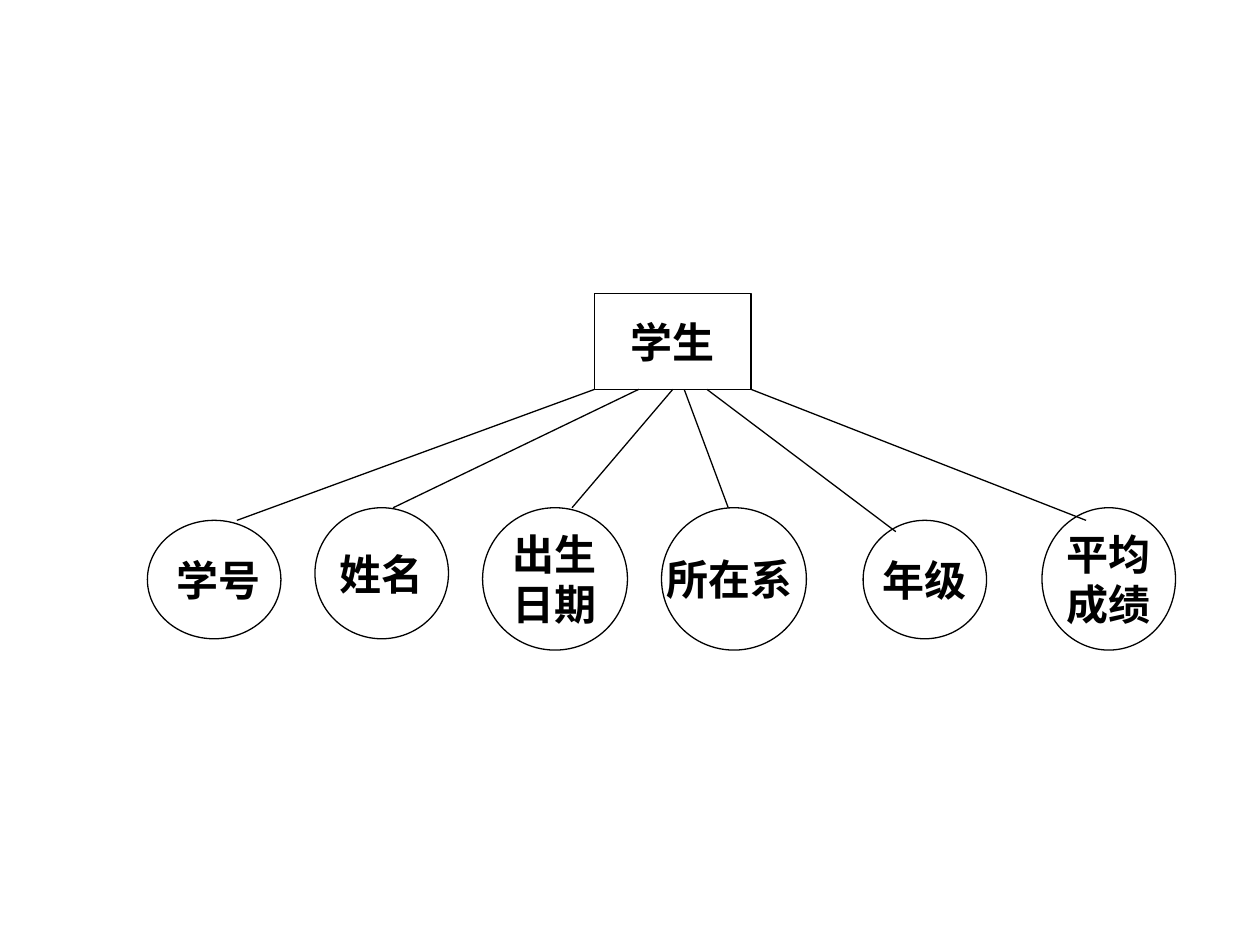
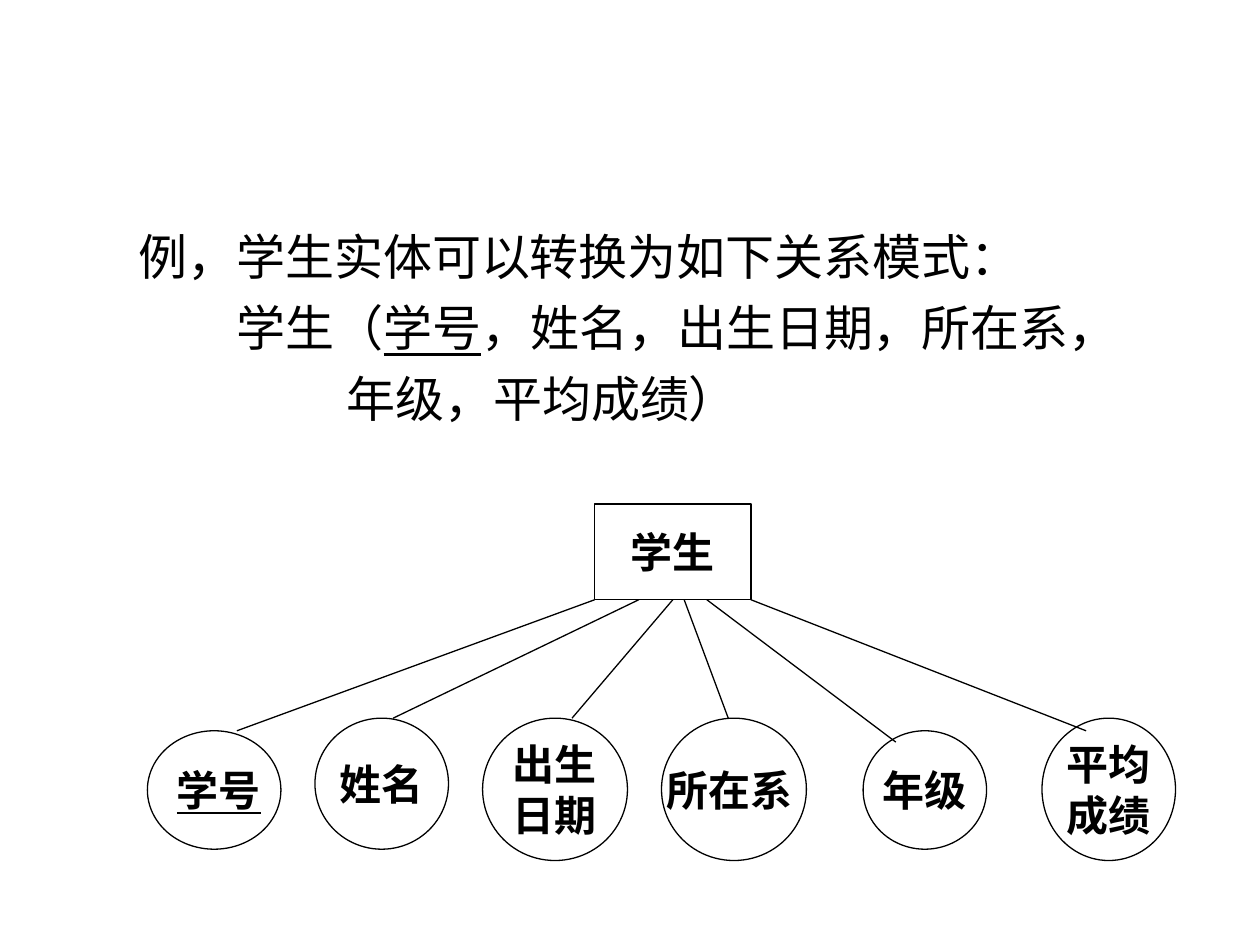
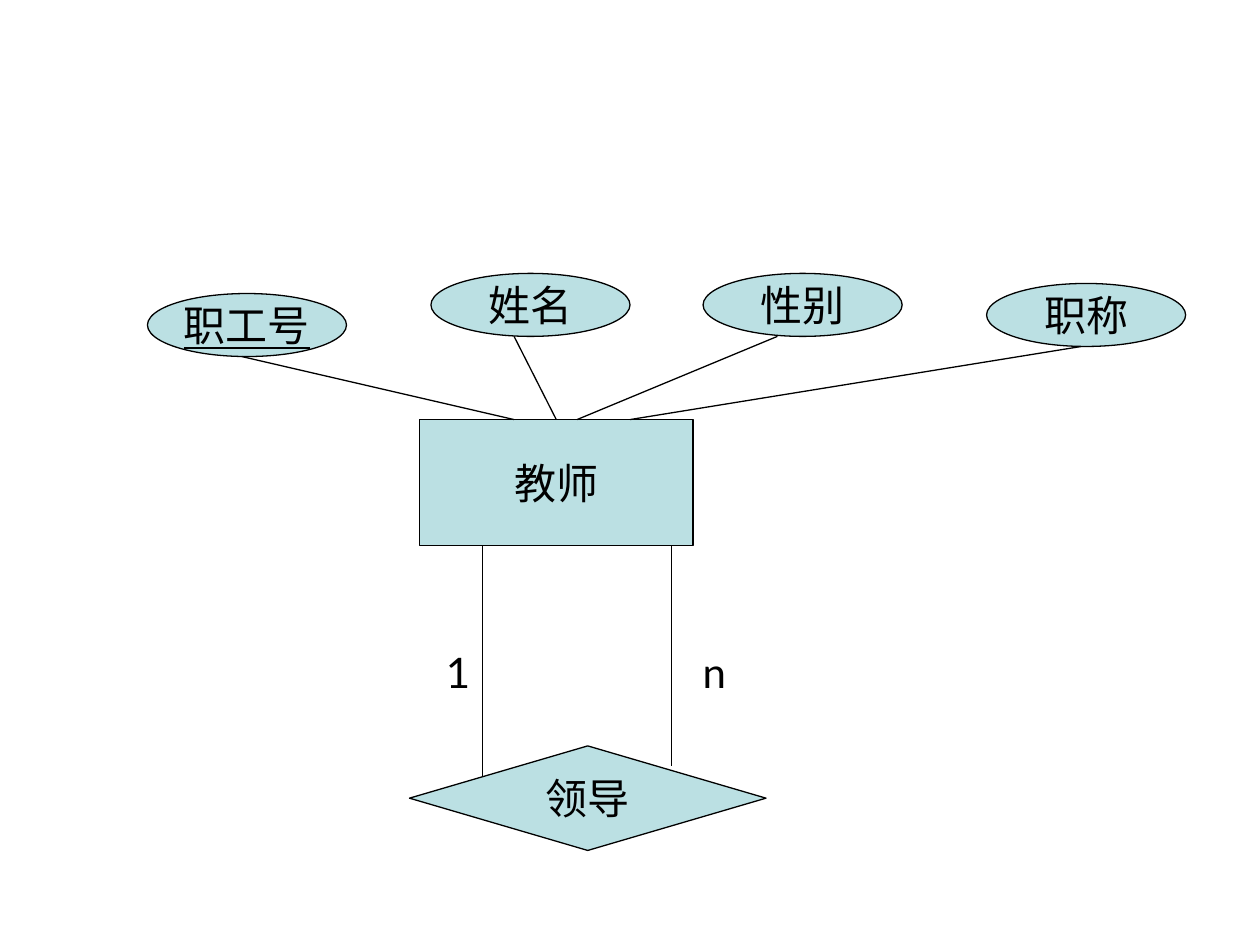
from dataclasses import dataclass
from typing import Any, NamedTuple, Optional

from lxml import etree
from pptx import Presentation
from pptx import util as u
from pptx.dml.color import RGBColor
from pptx.enum import shapes as kinds, text as txt
from pptx.oxml import ns


@dataclass(frozen=True)
class Theme:
    ink: RGBColor = RGBColor(0x00, 0x00, 0x00)
    teal: RGBColor = RGBColor(0xBB, 0xE0, 0xE3)
    line_width: u.Length = u.Pt(0.75)
    label_size: u.Length = u.Pt(24)
    body_size: u.Length = u.Pt(28)
    body_gap: u.Length = u.Pt(7)
    body_font: str = "Arial"


THEME = Theme()


@dataclass(frozen=True)
class Style:
    font: str
    bold: bool
    fill: Optional[RGBColor]


OUTLINED = Style("Times New Roman", True, None)
TINTED = Style("Lato", False, THEME.teal)


class Box(NamedTuple):
    left: float
    top: float
    width: float
    height: float


class Point(NamedTuple):
    x: float
    y: float


class Attribute(NamedTuple):
    """An ellipse and the line from its tip to the entity's edge at root_x."""
    label: str
    box: Box
    tip: Point
    root_x: float
    key: str = ""


class SchemaLine(NamedTuple):
    wording: str
    indent: float
    key: str = ""


STUDENT = Box(4.72, 2.33, 1.24, 0.76)
STUDENT_ATTRIBUTES = [
    Attribute(" 学号", Box(1.17, 4.13, 1.06, 0.94), Point(1.88, 4.13), 4.72, "学号"),
    Attribute("姓名", Box(2.5, 4.03, 1.06, 1.04), Point(3.12, 4.03), 5.07),
    Attribute("出生\n日期", Box(3.83, 4.03, 1.15, 1.13), Point(4.54, 4.03), 5.34),
    Attribute("所在系 ", Box(5.25, 4.03, 1.15, 1.13), Point(5.78, 4.03), 5.43),
    Attribute("年级", Box(6.85, 4.13, 0.98, 0.94), Point(7.11, 4.22), 5.61),
    Attribute("平均\n成绩", Box(8.27, 4.03, 1.06, 1.13), Point(8.62, 4.13), 5.96),
]
SCHEMA_DROP = 1.67

TEACHER = Box(3.33, 3.33, 2.17, 1)
TEACHER_ATTRIBUTES = [
    Attribute("职工号", Box(1.17, 2.33, 1.58, 0.5), Point(1.92, 2.83), 4.08, "职工号"),
    Attribute("姓名", Box(3.42, 2.17, 1.58, 0.5), Point(4.08, 2.67), 4.42),
    Attribute("性别", Box(5.58, 2.17, 1.58, 0.5), Point(6.17, 2.67), 4.58),
    Attribute("职称", Box(7.83, 2.25, 1.58, 0.5), Point(8.58, 2.75), 5),
]
LEADERSHIP = Box(3.25, 5.92, 2.83, 0.83)

SCHEMA = [
    SchemaLine("例，学生实体可以转换为如下关系模式：", 0.5),
    SchemaLine("学生（学号，姓名，出生日期，所在系，", 1.28, "学号"),
    SchemaLine("年级，平均成绩）", 2.15),
]


def apply_format(target: Any, values: dict[str, Any]) -> None:
    for name, value in values.items():
        setattr(target, name, value)


def inches(values: tuple[float, ...]) -> list[u.Length]:
    return [u.Inches(value) for value in values]


def write_runs(paragraph: Any, wording: str, key: str, font: dict[str, Any]) -> None:
    """Write the wording with its key attribute underlined."""
    before, key, after = wording.partition(key) if key else (wording, "", "")
    for part, underlined in ((before, None), (key, True), (after, None)):
        if part:
            run = paragraph.add_run()
            run.text = part
            apply_format(run.font, font | {"underline": underlined})
            run.font.color.rgb = THEME.ink


def write_label(frame: Any, label: str, style: Style, align: Any, key: str = "") -> None:
    font = {"name": style.font, "size": THEME.label_size, "bold": style.bold}
    for index, wording in enumerate(label.split("\n")):
        paragraph = frame.add_paragraph() if index else frame.paragraphs[0]
        paragraph.alignment = align
        write_runs(paragraph, wording, key, font)


def add_node(canvas: Any, kind: Any, box: Box, label: str, style: Style, key: str = "") -> Any:
    node = canvas.add_shape(kind, *inches(box))
    node.shadow.inherit = False
    if style.fill is None:
        node.fill.background()
    else:
        node.fill.solid()
        node.fill.fore_color.rgb = style.fill
    node.line.color.rgb = THEME.ink
    node.line.width = THEME.line_width
    apply_format(node.text_frame, {"word_wrap": False,
                                   "vertical_anchor": txt.MSO_ANCHOR.MIDDLE})
    write_label(node.text_frame, label, style, txt.PP_ALIGN.CENTER, key)
    return node


def add_link(canvas: Any, start: Point, end: Point) -> Any:
    link = canvas.add_connector(kinds.MSO_CONNECTOR.STRAIGHT, *inches(start + end))
    link.line.color.rgb = THEME.ink
    link.line.width = THEME.line_width
    etree.SubElement(link._element.spPr, ns.qn("a:effectLst"))
    return link


def add_entity(canvas: Any, name: str, box: Box, attributes: list[Attribute],
               style: Style, drop: float = 0) -> None:
    """Draw an entity with its attributes, moved down by drop."""
    entity = add_node(canvas, kinds.MSO_SHAPE.RECTANGLE,
                      box._replace(top=box.top + drop), name, style)
    for attribute in attributes:
        oval = attribute.box
        add_node(canvas, kinds.MSO_SHAPE.OVAL, oval._replace(top=oval.top + drop),
                 attribute.label, style, attribute.key)
        below = oval.top > box.top
        edge = box.top + box.height if below else box.top
        link = add_link(canvas, Point(attribute.root_x, edge + drop),
                        Point(attribute.tip.x, attribute.tip.y + drop))
        if abs(attribute.root_x - box.left - box.width / 2) < 0.01:
            link.begin_connect(entity, 2 if below else 0)


def add_student(slide: Any, attributes: list[Attribute], drop: float = 0) -> None:
    group = slide.shapes.add_group_shape()
    add_entity(group.shapes, "学生", STUDENT, attributes, OUTLINED, drop)


def write_schema(body: Any) -> None:
    apply_format(body, dict(zip(("left", "top", "width", "height"),
                                inches((0.5, 1.75, 9, 4.95)))))
    font = {"name": THEME.body_font, "size": THEME.body_size}
    for index, line in enumerate(SCHEMA):
        paragraph = body.text_frame.add_paragraph() if index else body.text_frame.paragraphs[0]
        properties = paragraph._p.get_or_add_pPr()
        properties.set("marL", str(u.Inches(line.indent)))
        properties.set("indent", "0")
        etree.SubElement(properties, ns.qn("a:buNone"))
        paragraph.space_before = THEME.body_gap if index else u.Pt(0)
        write_runs(paragraph, line.wording, line.key, font)


def add_cardinality(canvas: Any, mark: str, left: float, align: Any) -> None:
    frame = canvas.add_textbox(*inches((left, 5.08, 1, 0.5))).text_frame
    frame.word_wrap = True
    write_label(frame, mark, TINTED, align)


def build_student_slide(deck: Any) -> None:
    slide = deck.slides.add_slide(deck.slide_layouts[6])
    add_student(slide, [attribute._replace(key="") for attribute in STUDENT_ATTRIBUTES])


def build_schema_slide(deck: Any) -> None:
    slide = deck.slides.add_slide(deck.slide_layouts[1])
    heading = slide.shapes.title._element
    heading.getparent().remove(heading)
    write_schema(slide.placeholders[1])
    add_student(slide, STUDENT_ATTRIBUTES, SCHEMA_DROP)


def build_teacher_slide(deck: Any) -> None:
    canvas = deck.slides.add_slide(deck.slide_layouts[6]).shapes
    add_entity(canvas, "教师", TEACHER, TEACHER_ATTRIBUTES, TINTED)
    add_node(canvas, kinds.MSO_SHAPE.DIAMOND, LEADERSHIP, "领导", TINTED)
    teacher_bottom = TEACHER.top + TEACHER.height
    for x, leadership_y in ((3.83, 6.17), (5.33, 6.08)):
        add_link(canvas, Point(x, teacher_bottom), Point(x, leadership_y))
    add_cardinality(canvas, "1", 2.83, txt.PP_ALIGN.RIGHT)
    add_cardinality(canvas, "n", 5.17, txt.PP_ALIGN.CENTER)


def main() -> None:
    deck = Presentation()
    apply_format(deck, {"slide_width": u.Inches(10), "slide_height": u.Inches(7.5)})
    build_student_slide(deck)
    build_schema_slide(deck)
    build_teacher_slide(deck)
    deck.save("out.pptx")


if __name__ == "__main__":
    main()
